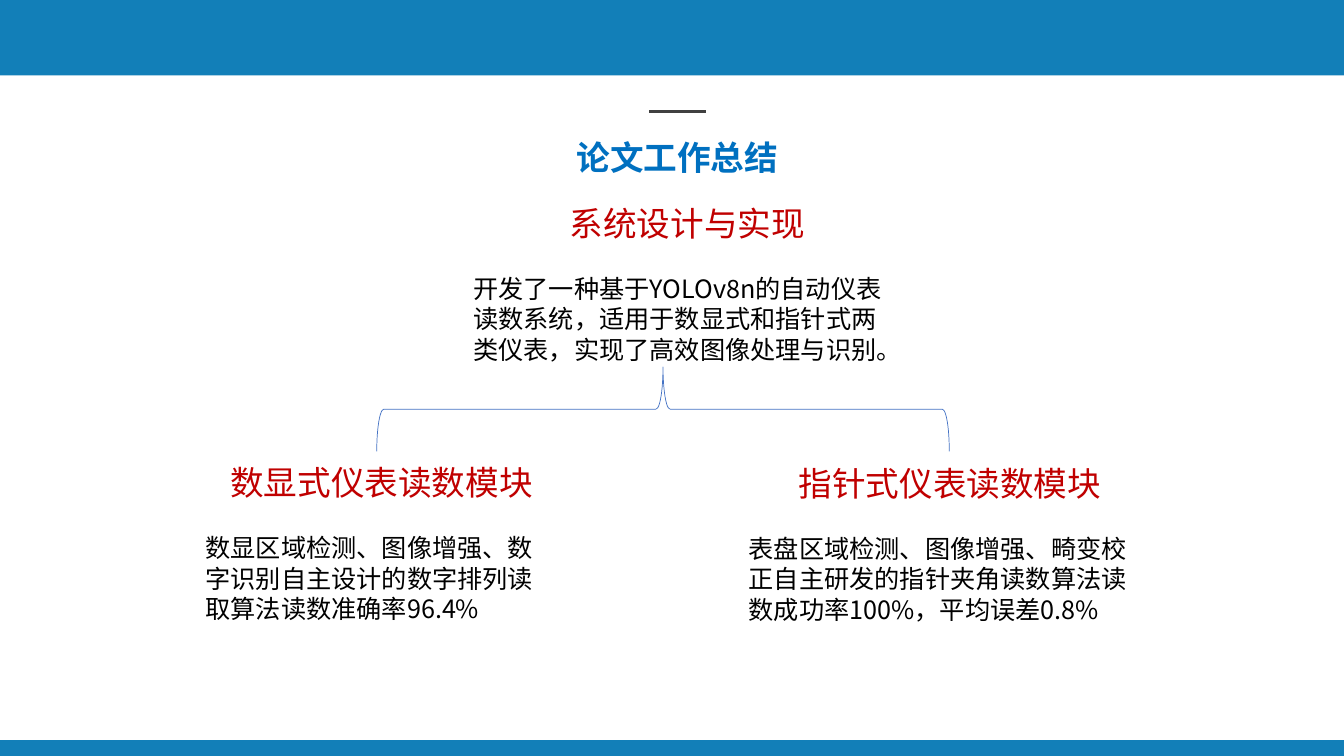
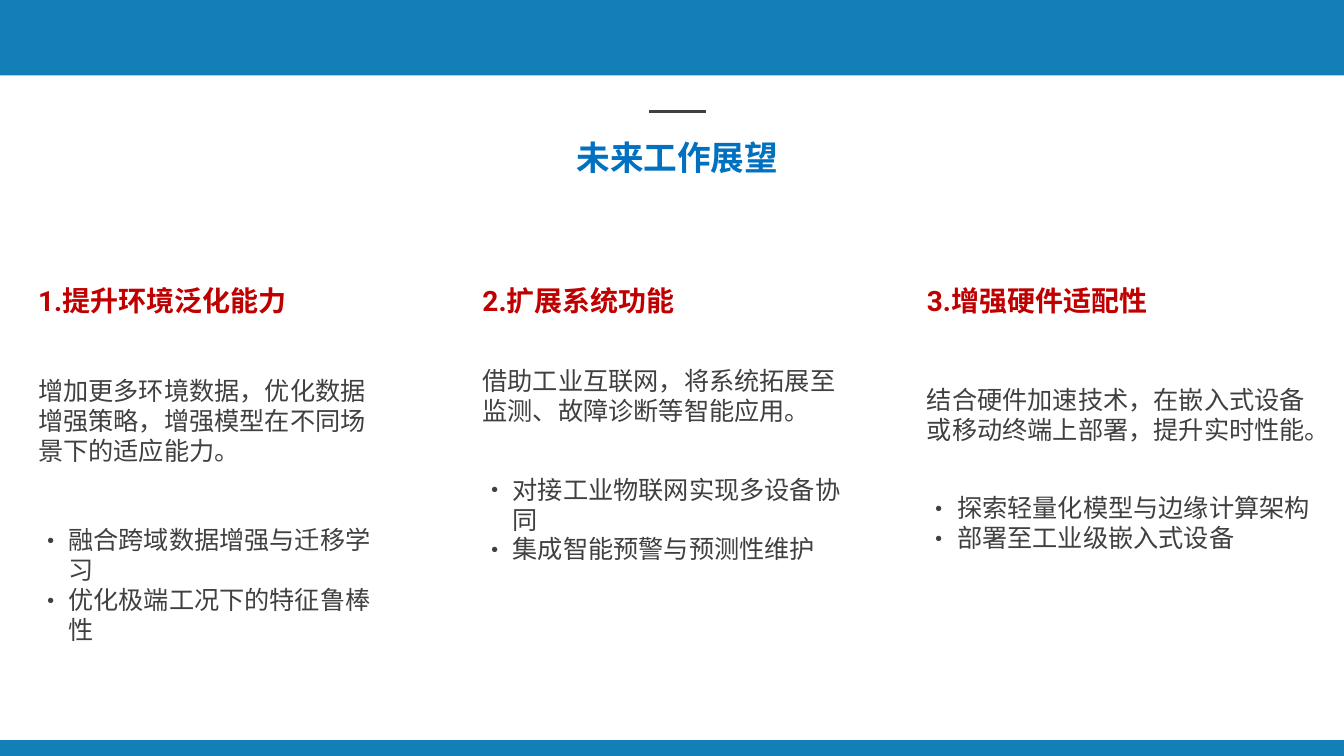
from lxml.etree import SubElement
from pptx import Presentation
from pptx.dml.color import RGBColor
from pptx.enum.lang import MSO_LANGUAGE_ID
from pptx.enum.shapes import MSO_CONNECTOR, MSO_SHAPE
from pptx.enum.text import PP_ALIGN
from pptx.oxml.ns import qn
from pptx.util import Cm, Pt

COLORS = {
    "band": "127FB8",
    "title": "0070C0",
    "heading": "C00000",
    "black": "000000",
    "gray": "404040",
    "brace": "4472C4",
}
CHINESE_FONT = "Noto Sans CJK SC"
LATIN_FONT = "Roboto"

SLIDE_WIDTH, SLIDE_HEIGHT = 33.87, 19.05
TOP_BAND, BOTTOM_BAND = 1.9, 0.4
TITLE_CENTER = 17.07
BULLET_INDENT = 0.76

# left, top, width (cm), heading, body
SUMMARY_TITLE = "论文工作总结"
SUMMARY_BLOCKS = [
    (11.68, 4.99, 11.28, "系统设计与实现",
     "开发了一种基于YOLOv8n的自动仪表读数系统，适用于数显式和指针式两类仪表，"
     "实现了高效图像处理与识别。"),
    (4.93, 11.52, 9.37, "数显式仪表读数模块",
     "数显区域检测、图像增强、数字识别自主设计的数字排列读取算法读数准确率96.4%"),
    (18.62, 11.54, 10.64, "指针式仪表读数模块",
     "表盘区域检测、图像增强、畸变校正自主研发的指针夹角读数算法读数成功率100%，"
     "平均误差0.8%"),
]

# width (cm), heading, body, bullets, space before body and bullets (pt)
OUTLOOK_TITLE = "未来工作展望"
OUTLOOK_COLUMNS = [
    (9.27, "1.提升环境泛化能力",
     "增加更多环境数据，优化数据增强策略，增强模型在不同场景下的适应能力。",
     ["融合跨域数据增强与迁移学习", "优化极端工况下的特征鲁棒性"], 42, 42),
    (9.88, "2.扩展系统功能",
     "借助工业互联网，将系统拓展至监测、故障诊断等智能应用。",
     ["对接工业物联网实现多设备协同", "集成智能预警与预测性维护"], 34.7, 34.7),
    (10.24, "3.增强硬件适配性",
     "结合硬件加速技术，在嵌入式设备或移动终端上部署，提升实时性能。",
     ["探索轻量化模型与边缘计算架构", "部署至工业级嵌入式设备"], 48, 34.7),
]
COLUMN_LEFT, COLUMN_PITCH, COLUMN_TOP = 0.71, 11.2, 7.11


def color(name):
    return RGBColor.from_string(COLORS[name])


def add_text_frame(slide, left, top, width, height):
    box = slide.shapes.add_textbox(Cm(left), Cm(top), Cm(width), Cm(height))
    box.text_frame.word_wrap = True
    return box.text_frame


def add_bullet(paragraph):
    properties = paragraph._p.get_or_add_pPr()
    properties.set("marL", str(Cm(BULLET_INDENT)))
    properties.set("indent", str(-Cm(BULLET_INDENT)))
    SubElement(properties, qn("a:buFont")).set("typeface", CHINESE_FONT)
    SubElement(properties, qn("a:buChar")).set("char", "•")


def write(frame, text, *, size, fill, line, bold=False, latin=CHINESE_FONT,
          align=PP_ALIGN.LEFT, before=0, bullet=False):
    """Append a paragraph, using the frame's first one while it is empty."""
    first = frame.paragraphs[0]
    paragraph = frame.add_paragraph() if first.runs else first
    if bullet:
        add_bullet(paragraph)
    paragraph.alignment = align
    paragraph.line_spacing = Pt(line)
    if before:
        paragraph.space_before = Pt(before)
    run = paragraph.add_run()
    run.text = text
    font = run.font
    font.size, font.bold, font.name = Pt(size), bold, latin
    font.color.rgb = color(fill)
    font.language_id = MSO_LANGUAGE_ID.SIMPLIFIED_CHINESE
    SubElement(run._r.get_or_add_rPr(), qn("a:ea")).set("typeface", CHINESE_FONT)


def add_band(slide, top, height):
    band = slide.shapes.add_shape(
        MSO_SHAPE.RECTANGLE, 0, Cm(top), Cm(SLIDE_WIDTH), Cm(height))
    band.shadow.inherit = False
    band.fill.solid()
    band.fill.fore_color.rgb = color("band")
    band.line.fill.background()


def add_titled_slide(presentation, title):
    slide = presentation.slides.add_slide(presentation.slide_layouts[6])
    add_band(slide, 0, TOP_BAND)
    add_band(slide, SLIDE_HEIGHT - BOTTOM_BAND, BOTTOM_BAND)
    rule = slide.shapes.add_connector(
        MSO_CONNECTOR.STRAIGHT, Cm(TITLE_CENTER - 0.71), Cm(2.8),
        Cm(TITLE_CENTER + 0.71), Cm(2.8))
    rule.line.color.rgb = color("gray")
    rule.line.width = Pt(2.25)
    SubElement(rule._element.spPr, qn("a:effectLst"))
    frame = add_text_frame(slide, TITLE_CENTER - 4, 3.12, 8, 1.37)
    write(frame, title, size=24, fill="title", line=34.6, bold=True,
          align=PP_ALIGN.CENTER)
    return slide


def add_brace(slide):
    """Draw the brace that opens downwards over the two modules."""
    center_x, center_y, depth, span = 16.71, 10.31, 2.13, 14.43
    brace = slide.shapes.add_shape(
        MSO_SHAPE.RIGHT_BRACE, Cm(center_x - depth / 2),
        Cm(center_y - span / 2), Cm(depth), Cm(span))
    brace.rotation = 270
    brace.shadow.inherit = False
    brace.fill.background()
    brace.line.color.rgb = color("brace")
    brace.line.width = Pt(0.5)


def build_summary(presentation):
    slide = add_titled_slide(presentation, SUMMARY_TITLE)
    for left, top, width, heading, body in SUMMARY_BLOCKS:
        frame = add_text_frame(slide, left, top, width, 4.37)
        write(frame, heading, size=24, fill="heading", line=28.8,
              align=PP_ALIGN.CENTER)
        write(frame, body, size=18, fill="black", line=21.6, before=21.6)
    add_brace(slide)


def build_outlook(presentation):
    slide = add_titled_slide(presentation, OUTLOOK_TITLE)
    body_style = {"size": 18, "fill": "gray", "line": 21.4, "latin": LATIN_FONT}
    for index, column in enumerate(OUTLOOK_COLUMNS):
        width, heading, body, bullets, body_gap, bullet_gap = column
        left = COLUMN_LEFT + index * COLUMN_PITCH
        frame = add_text_frame(slide, left, COLUMN_TOP, width, 7.6)
        write(frame, heading, size=20, fill="heading", line=21.4, bold=True,
              latin=LATIN_FONT)
        write(frame, body, before=body_gap, **body_style)
        for position, text in enumerate(bullets):
            write(frame, text, before=0 if position else bullet_gap,
                  bullet=True, **body_style)


def main():
    presentation = Presentation()
    presentation.slide_width = Cm(SLIDE_WIDTH)
    presentation.slide_height = Cm(SLIDE_HEIGHT)
    build_summary(presentation)
    build_outlook(presentation)
    presentation.save("out.pptx")


if __name__ == "__main__":
    main()
